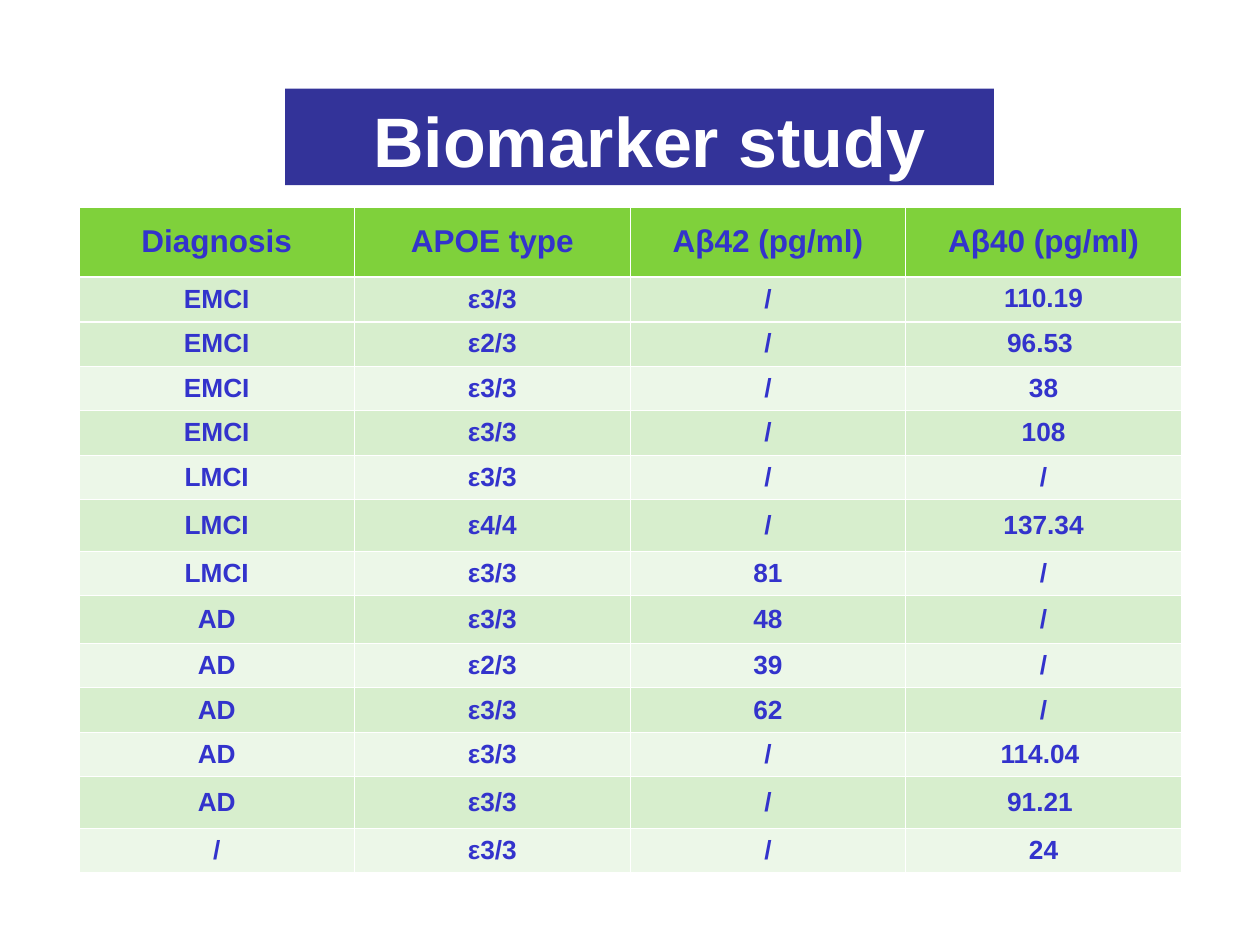
from lxml.etree import SubElement
from pptx import Presentation
from pptx.dml.color import RGBColor
from pptx.enum.shapes import MSO_SHAPE as Shape
from pptx.enum.text import MSO_ANCHOR as Anchor, PP_ALIGN as Align
from pptx.oxml.ns import qn
from pptx.util import Pt

COLORS = {
    "banner": "333399",
    "blank": "000000",
    "text": "3333CC",
    "header": "7FD13B",
    "dark": "D7EECD",
    "light": "ECF7E8",
    "white": "FFFFFF",
}
THIN, THICK = 0.45, 1.47
ROW, MEDIUM_ROW, TALL_ROW = 25.4, 27.2, 29.6

HEADINGS = ("Diagnosis", "APOE type", "Aβ42 (pg/ml)", "Aβ40 (pg/ml)")
PATIENTS = [
    ("EMCI", "ε3/3", "/", "110.19", ROW),
    ("EMCI", "ε2/3", "/", "96.53 ", ROW),
    ("EMCI", "ε3/3", "/", "38", ROW),
    ("EMCI", "ε3/3", "/", "108", ROW),
    ("LMCI", "ε3/3", "/", "/", ROW),
    ("LMCI", "ε4/4", "/", "137.34", TALL_ROW),
    ("LMCI", "ε3/3", "81", "/", ROW),
    ("AD", "ε3/3", "48", "/", MEDIUM_ROW),
    ("AD", "ε2/3", "39", "/", ROW),
    ("AD", "ε3/3", "62", "/", ROW),
    ("AD", "ε3/3", "/", "114.04 ", ROW),
    ("AD", "ε3/3", "/", "91.21 ", TALL_ROW),
    ("/", "ε3/3", "/", "24", ROW),
]


class BiomarkerSlide:
    """Draws a banner and a banded table on one slide in a shared style."""

    def __init__(self, slide, font="Arial"):
        self.slide = slide
        self.font = font

    def color(self, name):
        return RGBColor.from_string(COLORS[name])

    def add_run(self, paragraph, text, size, color, font=None):
        run = paragraph.add_run()
        run.text = text
        run.font.name = font or self.font
        run.font.size = Pt(size)
        run.font.bold = True
        run.font.color.rgb = self.color(color)

    def add_banner(self, title, left, top, width, height):
        banner = self.slide.shapes.add_shape(
            Shape.RECTANGLE, Pt(left), Pt(top), Pt(width), Pt(height))
        banner.shadow.inherit = False
        banner.fill.solid()
        banner.fill.fore_color.rgb = self.color("banner")
        banner.line.fill.background()
        banner.text_frame.vertical_anchor = Anchor.MIDDLE
        heading = banner.text_frame.paragraphs[0]
        heading.alignment = Align.CENTER
        self.add_run(heading, " ", 44, "blank", "Times New Roman")
        self.add_run(heading, title, 40, "white")

    def add_borders(self, cell, top, bottom):
        properties = cell._tc.get_or_add_tcPr()
        for side, width in (("L", THIN), ("R", THIN), ("T", top), ("B", bottom)):
            border = SubElement(properties, qn(f"a:ln{side}"), w=str(Pt(width)))
            fill = SubElement(border, qn("a:solidFill"))
            SubElement(fill, qn("a:srgbClr"), val=COLORS["white"])

    def add_cell(self, cell, text, size, fill, top, bottom):
        self.add_borders(cell, top, bottom)
        cell.fill.solid()
        cell.fill.fore_color.rgb = self.color(fill)
        cell.vertical_anchor = Anchor.MIDDLE
        cell.margin_left = cell.margin_right = Pt(0.72)
        paragraph = cell.text_frame.paragraphs[0]
        paragraph.alignment = Align.CENTER
        self.add_run(paragraph, text, size, "text")

    def add_table(self, headings, patients, left, top, width, header_height):
        rows = [(*headings, header_height), *patients]
        heights = [height for *_, height in rows]
        table = self.slide.shapes.add_table(
            len(rows), len(headings), Pt(left), Pt(top), Pt(width), Pt(sum(heights))).table
        for column in table.columns:
            column.width = Pt(width / len(headings))
        rules = [THICK if edge in (1, 2) else THIN for edge in range(len(rows) + 1)]
        for index, (*values, height) in enumerate(rows):
            table.rows[index].height = Pt(height)
            band = "light" if index > 1 and index % 2 else "dark"
            size, fill = (15, band) if index else (18, "header")
            for column, value in enumerate(values):
                self.add_cell(table.cell(index, column), value, size, fill,
                              rules[index], rules[index + 1])
        first_level = table.cell(1, len(headings) - 1)
        first_level.vertical_anchor = Anchor.TOP
        first_level.margin_left = first_level.margin_right = Pt(7.2)


def main():
    deck = Presentation()
    deck.slide_width, deck.slide_height = Pt(720), Pt(540)
    study = BiomarkerSlide(deck.slides.add_slide(deck.slide_layouts[6]))
    study.add_table(HEADINGS, PATIENTS, 45.1, 118.2, 630, 40.2)
    study.add_banner("Biomarker study", 163, 50.6, 405, 55.2)
    deck.save("out.pptx")


if __name__ == "__main__":
    main()
